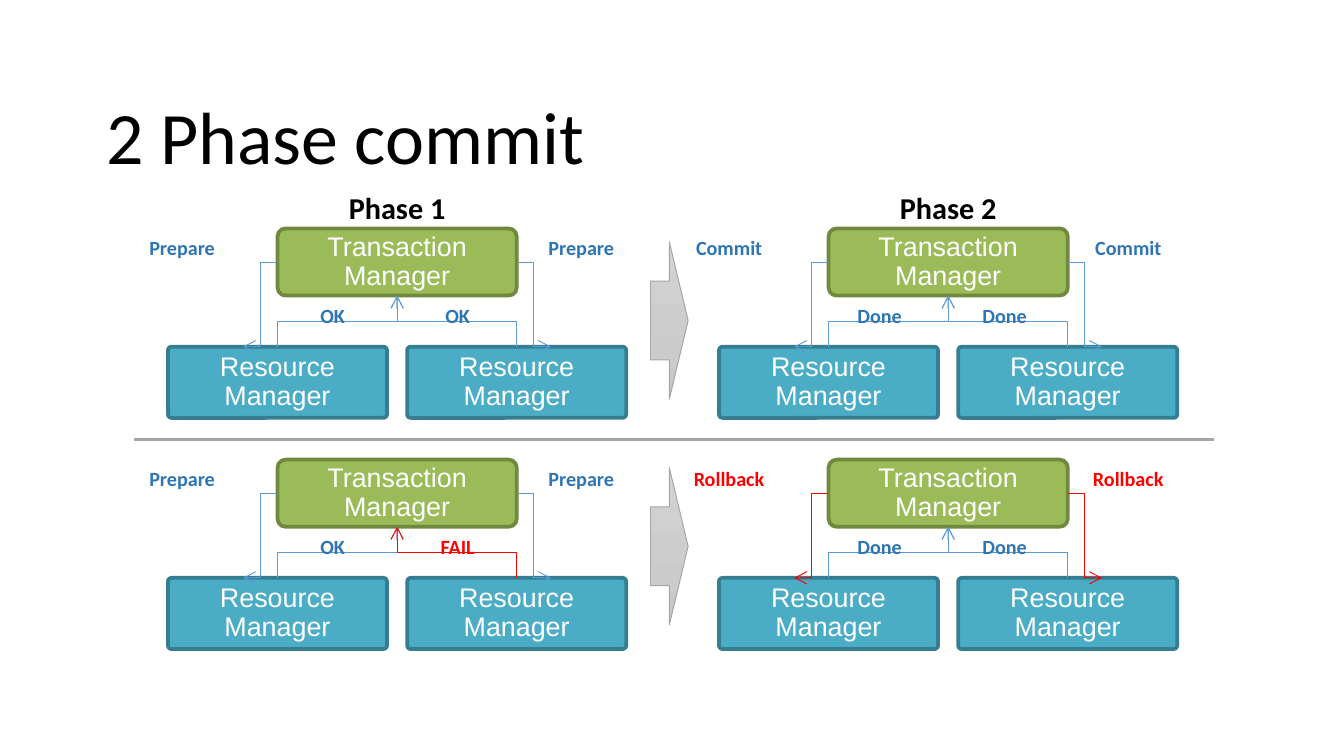
from lxml import etree
from pptx import Presentation
from pptx.dml.color import RGBColor
from pptx.enum.shapes import MSO_CONNECTOR, MSO_SHAPE
from pptx.enum.text import MSO_ANCHOR, MSO_AUTO_SIZE, PP_ALIGN
from pptx.oxml.ns import qn
from pptx.util import Inches, Pt

ELBOW, STRAIGHT = MSO_CONNECTOR.ELBOW, MSO_CONNECTOR.STRAIGHT
ROUNDED, BLOCK_ARROW = MSO_SHAPE.ROUNDED_RECTANGLE, MSO_SHAPE.RIGHT_ARROW
MIDDLE, BOTTOM = MSO_ANCHOR.MIDDLE, MSO_ANCHOR.BOTTOM
LEFT, CENTER = PP_ALIGN.LEFT, PP_ALIGN.CENTER
NO_FIT = MSO_AUTO_SIZE.NONE

CELL = 0.1
COLUMNS, ROWS = 100, 56.25
BLUE, TEXT_BLUE, RED = "5B9BD5", "2E75B6", "FF0000"
GRAY, BLACK, WHITE = "A5A5A5", "000000", "FFFFFF"
MANAGER_STYLE = ("9BBB59", "71893F", 0.12, 0.12)
RESOURCE_STYLE = ("4BACC6", "357D91", 0.05, 0.17)
PANEL_LEFTS, PANEL_TOPS = (12.5, 53.5), (17, 34.2)
PANEL_SIZE = (34.1, 14.1)
LABEL_SHIFTS = (0, -0.3)
PANELS = [
    [
        ("Phase 1", ("Prepare", TEXT_BLUE, BLUE),
         [("OK", TEXT_BLUE, BLUE), ("OK", TEXT_BLUE, BLUE)]),
        ("Phase 2", ("Commit", TEXT_BLUE, BLUE),
         [("Done", TEXT_BLUE, BLUE), ("Done", TEXT_BLUE, BLUE)]),
    ],
    [
        (None, ("Prepare", TEXT_BLUE, BLUE),
         [("OK", TEXT_BLUE, BLUE), ("FAIL", RED, RED)]),
        (None, ("Rollback", RED, RED),
         [("Done", TEXT_BLUE, BLUE), ("Done", TEXT_BLUE, BLUE)]),
    ],
]


def cells(*counts):
    """Turn counts of grid cells into lengths."""
    return [Inches(count * CELL) for count in counts]


def color(value):
    """Return the colour for a hex string."""
    return RGBColor.from_string(value)


def write(shape, text, font, size, ink, insets, anchor=MIDDLE,
          align=CENTER, bold=False, spacing=1.0, wrap=True):
    """Put one formatted paragraph into a shape."""
    frame = shape.text_frame
    frame.text = text
    frame.word_wrap, frame.auto_size = wrap, NO_FIT
    frame.vertical_anchor = anchor
    frame.margin_left = frame.margin_right = Inches(insets[0])
    frame.margin_top = frame.margin_bottom = Inches(insets[1])
    para = frame.paragraphs[0]
    para.alignment, para.line_spacing = align, spacing
    span = para.runs[0]
    span.font.name, span.font.size = font, Pt(size)
    span.font.bold, span.font.color.rgb = bold, color(ink)


def add_label(page, box, text, ink, size=10.8):
    """Add a bold centred caption."""
    label = page.shapes.add_textbox(*cells(*box))
    write(label, text, "Calibri", size, ink, (0.09, 0.04),
          bold=True, wrap=False)


def add_node(page, box, text, style):
    """Add a rounded box for one participant."""
    fill, edge, rounding, inset = style
    node = page.shapes.add_shape(ROUNDED, *cells(*box))
    node.shadow.inherit = False
    node.adjustments[0] = rounding
    node.fill.solid()
    node.fill.fore_color.rgb = color(fill)
    node.line.color.rgb, node.line.width = color(edge), Pt(2)
    write(node, text, "Arial", 14.4, WHITE, (inset, inset), spacing=0.9)


def add_line(page, kind, start, end, ink, width, head=False):
    """Add a connector without shadow, with an open arrowhead if asked."""
    line = page.shapes.add_connector(kind, *cells(*start, *end))
    line.line.color.rgb, line.line.width = color(ink), Pt(width)
    if head:
        etree.SubElement(line.line._get_or_add_ln(), qn("a:tailEnd"),
                         type="arrow")
    etree.SubElement(line._element.spPr, qn("a:effectLst"))
    return line


def add_reply(page, start, end, side, ink):
    """Add an elbow that leaves upwards, turned by a quarter about its middle."""
    middle_x, middle_y = (start[0] + end[0]) / 2, (start[1] + end[1]) / 2
    half_run, half_rise = abs(end[0] - start[0]) / 2, (start[1] - end[1]) / 2
    line = add_line(
        page, ELBOW,
        (middle_x - side * half_rise, middle_y + half_run),
        (middle_x + side * half_rise, middle_y - half_run),
        ink, 0.5, head=True)
    degrees = 90 if side < 0 else 270
    line._element.spPr.xfrm.set("rot", str(degrees * 60000))


def draw_panel(page, box, heading, request, replies, label_shift):
    """Draw one phase: a manager, two resources and their messages."""
    left, top, width, height = box
    center = left + width / 2
    manager_width, manager_height = 17.8, 5
    resource_width, resource_height = 16.3, 5.3
    label_width, label_height = 7.1, 2.4
    resource_top = top + height - resource_height
    request_text, request_ink, request_line = request
    add_node(page, (center - manager_width / 2, top, manager_width,
                    manager_height), "Transaction Manager", MANAGER_STYLE)
    for resource_left in (left, left + width - resource_width):
        add_node(page, (resource_left, resource_top, resource_width,
                        resource_height), "Resource Manager", RESOURCE_STYLE)
    if heading:
        add_label(page, (center - 4.5, top - 3.1, 9, 3.1), heading, BLACK, 16.2)
    label_lefts = [(-2.5, 8.7), (27.2, 18)]
    for side, reply, offsets in zip((-1, 1), replies, label_lefts):
        reply_text, reply_ink, reply_line = reply
        edge = center + side * manager_width / 2
        add_line(page, ELBOW, (edge, top + manager_height / 2),
                 (edge + side * 2.55, resource_top), request_line, 0.5, True)
        add_reply(page, (edge, resource_top), (center, top + manager_height),
                  side, reply_line)
        request_left, reply_left = (left + offset + label_shift
                                    for offset in offsets)
        add_label(page, (request_left, top + 0.2, label_width, label_height),
                  request_text, request_ink)
        add_label(page, (reply_left, top + 5.25, label_width, label_height),
                  reply_text, reply_ink)


def draw_block_arrow(page, box):
    """Draw the gray arrow between two phases."""
    arrow = page.shapes.add_shape(BLOCK_ARROW, *cells(*box))
    arrow.shadow.inherit = False
    arrow.fill.gradient()
    arrow.fill.gradient_angle = 270
    for stop, shade in zip(arrow.fill.gradient_stops, ("D2D2D2", "C8C8C8")):
        stop.color.rgb = color(shade)
    arrow.line.color.rgb, arrow.line.width = color(GRAY), Pt(0.5)


def draw_title(page, box, text):
    """Place and format the title placeholder."""
    title = page.shapes.title
    title.left, title.top, title.width, title.height = cells(*box)
    write(title, text, "Calibri", 39.6, BLACK, (0.1, 0.07),
          anchor=BOTTOM, align=LEFT, spacing=0.7)


def main():
    """Build and save the deck."""
    deck = Presentation()
    deck.slide_width, deck.slide_height = cells(COLUMNS, ROWS)
    page = deck.slides.add_slide(deck.slide_layouts[5])
    draw_title(page, (6.9, 3, 86.2, 10.9), "2 Phase commit")
    for top, row in zip(PANEL_TOPS, PANELS):
        for left, panel, shift in zip(PANEL_LEFTS, row, LABEL_SHIFTS):
            draw_panel(page, (left, top, *PANEL_SIZE), *panel, shift)
    for arrow_top in (18, 34.8):
        draw_block_arrow(page, (48.4, arrow_top, 2.8, 11.7))
    add_line(page, STRAIGHT, (10, 32.7), (90.3, 32.7), GRAY, 1.75)
    deck.save("out.pptx")


if __name__ == "__main__":
    main()
